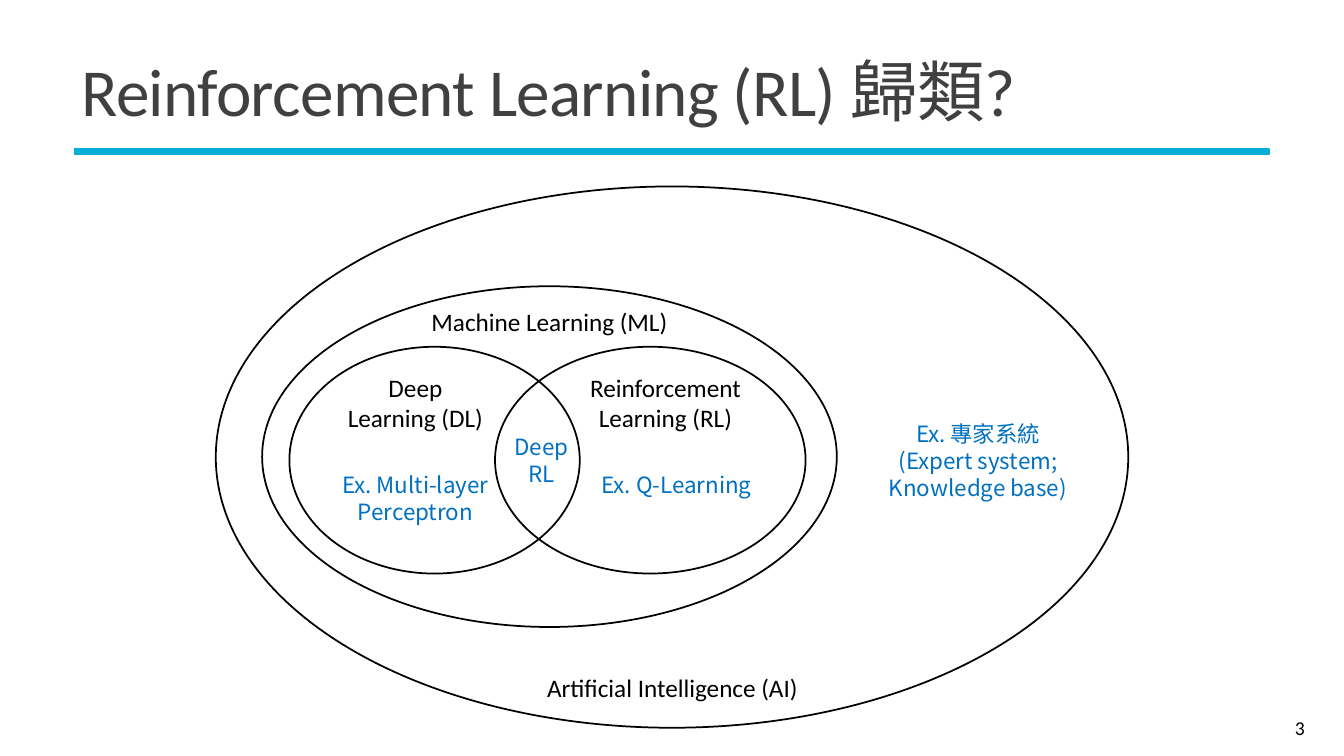
from lxml import etree
from pptx import Presentation
from pptx import util as u
from pptx.dml.color import RGBColor
from pptx.enum import shapes, text
from pptx.oxml import ns

BLACK = RGBColor(0x00, 0x00, 0x00)
GREY = RGBColor(0x40, 0x40, 0x40)
BLUE = RGBColor(0x00, 0x70, 0xC0)
CYAN = RGBColor(0x05, 0xAE, 0xD6)
LATIN = "Calibri"
CJK = "Noto Sans CJK TC"
PX = 9144


class Deck:
    """Style and current slide, measured in px of a hundredth of an inch."""

    def __init__(self, width, height):
        self.prs = Presentation()
        self.prs.slide_width, self.prs.slide_height = self.px(width, height)
        self.s = self.prs.slides.add_slide(self.prs.slide_layouts[5])

    def px(self, *lengths):
        return [u.Emu(n * PX) for n in lengths]

    def style(self, font, size, color, latin=LATIN):
        font.name, font.size = latin, u.Pt(size)
        font.color.rgb = color

    def east_asian(self, r):
        ea = etree.SubElement(r._r.get_or_add_rPr(), ns.qn("a:ea"))
        ea.set("typeface", CJK)

    def title(self, words, *box):
        sp = self.s.shapes.title
        sp.left, sp.top, sp.width, sp.height = self.px(*box)
        tf = sp.text_frame
        tf.text = words
        tf.auto_size = text.MSO_AUTO_SIZE.NONE
        tf.vertical_anchor = text.MSO_ANCHOR.MIDDLE
        p = tf.paragraphs[0]
        p.alignment, p.line_spacing = text.PP_ALIGN.LEFT, 0.85
        r = p.runs[0]
        self.style(r.font, 48, GREY)
        self.east_asian(r)
        r._r.get_or_add_rPr().set("spc", "-50")

    def shape(self, kind, color, *box, fill=None):
        sp = self.s.shapes.add_shape(kind, *self.px(*box))
        sp.shadow.inherit = False
        sp.line.color.rgb, sp.line.width = color, u.Pt(1.25)
        if fill is None:
            sp.fill.background()
        else:
            sp.fill.solid()
            sp.fill.fore_color.rgb = fill

    def ellipse(self, *box):
        self.shape(shapes.MSO_SHAPE.OVAL, BLACK, *box)

    def bar(self, color, *box):
        self.shape(shapes.MSO_SHAPE.RECTANGLE, color, *box, fill=color)

    def text_box(self, words, *box):
        tf = self.s.shapes.add_textbox(*self.px(*box)).text_frame
        tf.word_wrap = True
        tf.text = words
        tf.auto_size = text.MSO_AUTO_SIZE.SHAPE_TO_FIT_TEXT
        for p in tf.paragraphs:
            p.alignment = text.PP_ALIGN.CENTER
        return tf

    def label(self, words, *box):
        for p in self.text_box(words, *box).paragraphs:
            self.style(p.runs[0].font, 18, BLACK)

    def example(self, words, *box):
        for p in self.text_box(words, *box).paragraphs:
            p.line_spacing = u.Pt(19.3)
            self.style(p.runs[0].font, 16, BLUE, CJK)
            self.east_asian(p.runs[0])

    def slide_number(self, number, *box):
        tf = self.s.shapes.add_textbox(*self.px(*box)).text_frame
        tf.word_wrap = True
        tf.vertical_anchor = text.MSO_ANCHOR.MIDDLE
        p = tf.paragraphs[0]
        p.alignment = text.PP_ALIGN.RIGHT
        r = p.add_run()
        r.text = str(number)
        self.style(r.font, 14, BLACK)
        field = etree.SubElement(p._p, ns.qn("a:fld"))
        field.set("id", "{B6F15528-21DE-4FAA-801E-634DDDAF4B2B}")
        field.set("type", "slidenum")
        field.extend(list(r._r))
        p._p.remove(r._r)
        self.prs.element.set("firstSlideNum", str(number))


def main():
    d = Deck(1333, 750)
    d.bar(CYAN, 74, 148, 1185, 5)
    d.title("Reinforcement Learning (RL) 歸類?", 71, 39, 1194, 113)
    d.slide_number(3, 1161, 702, 143, 40)

    d.ellipse(214, 185, 905, 537)
    d.label("Artificial Intelligence (AI)", 523, 662, 288, 40)
    d.example("Ex. 專家系統 (Expert system; Knowledge base)", 871, 412, 198, 91)

    d.ellipse(260, 284, 570, 338)
    d.label("Machine Learning (ML)", 401, 299, 288, 40)

    d.ellipse(287, 344, 288, 225)
    d.label("Deep Learning (DL)", 333, 364, 158, 71)
    d.example("Ex. Multi-layer Perceptron", 325, 462, 174, 64)

    d.ellipse(491, 344, 308, 225)
    d.label("Reinforcement Learning (RL)", 569, 364, 182, 71)
    d.example("Deep\nRL", 495, 425, 84, 64)
    d.example("Ex. Q-Learning", 584, 462, 174, 37)

    d.prs.save("out.pptx")


if __name__ == "__main__":
    main()
